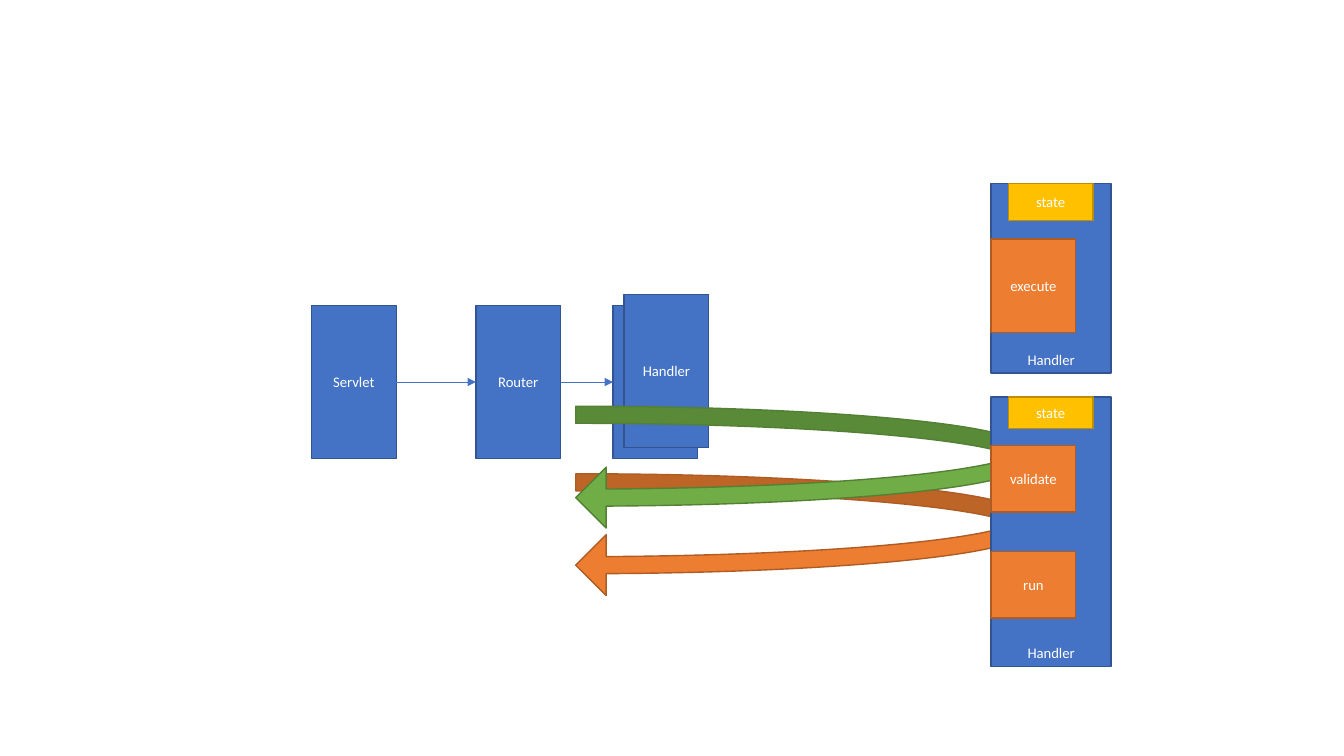
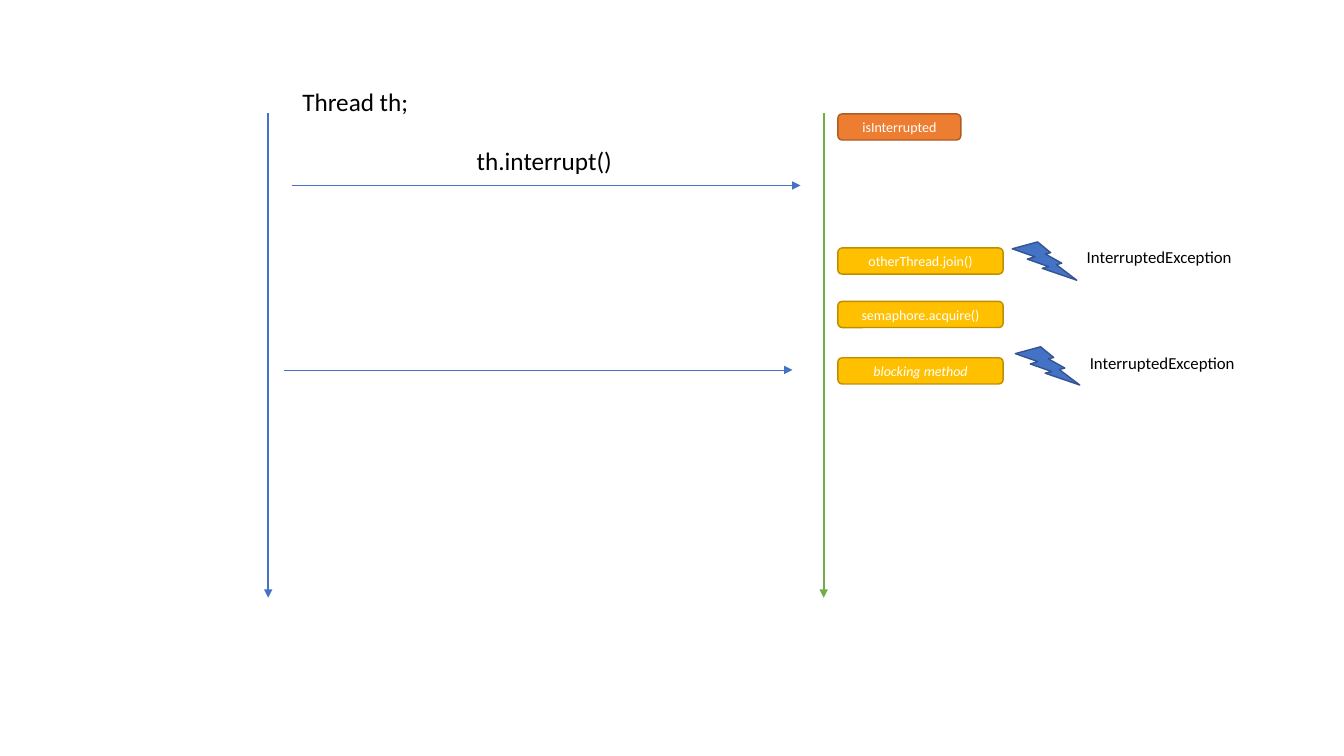
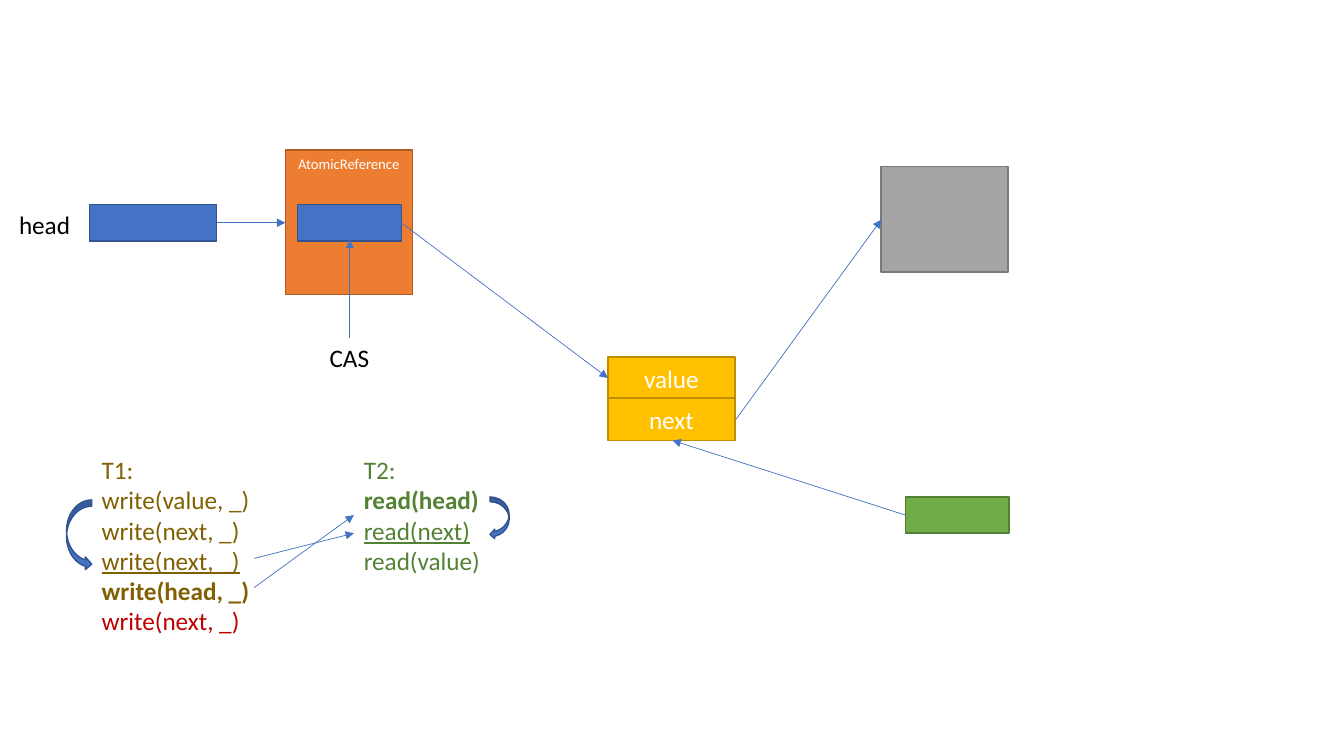
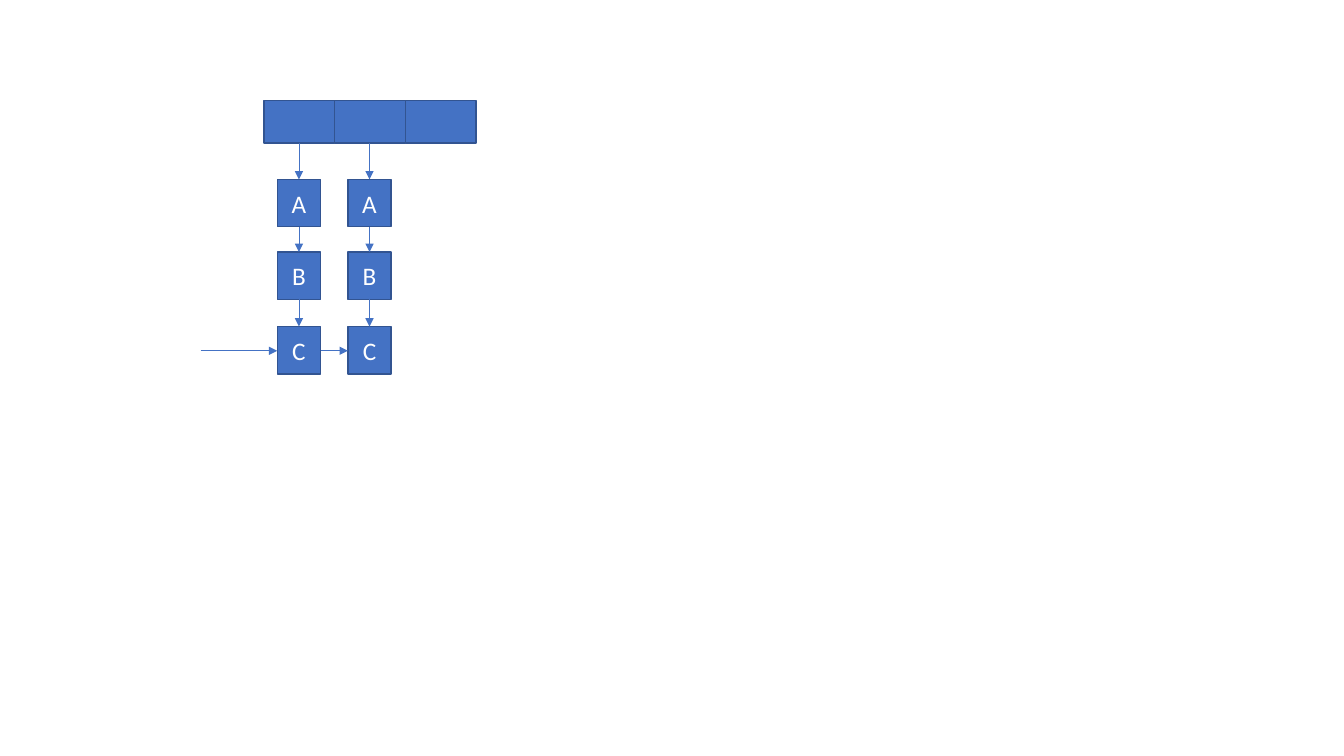
from lxml import etree
from pptx import Presentation
from pptx.dml.color import RGBColor
from pptx.enum.shapes import MSO_CONNECTOR, MSO_SHAPE as SHAPE
from pptx.enum.text import MSO_ANCHOR as ANCHOR, MSO_AUTO_SIZE, PP_ALIGN
from pptx.oxml.ns import qn
from pptx.util import Inches, Pt

FONT = "Calibri"
WHITE = RGBColor(0xFF, 0xFF, 0xFF)
BLACK = RGBColor(0x00, 0x00, 0x00)
RED = RGBColor(0xC0, 0x00, 0x00)
OLIVE = RGBColor(0x80, 0x60, 0x00)
DARK_GREEN = RGBColor(0x54, 0x82, 0x35)

# Fill and outline of each kind of box
BLUE = (RGBColor(0x44, 0x72, 0xC4), RGBColor(0x32, 0x54, 0x91))
ORANGE = (RGBColor(0xED, 0x7D, 0x31), RGBColor(0xAF, 0x5C, 0x24))
GOLD = (RGBColor(0xFF, 0xC0, 0x00), RGBColor(0xBD, 0x8E, 0x00))
GREEN = (RGBColor(0x70, 0xAD, 0x47), RGBColor(0x53, 0x80, 0x35))
GRAY = (RGBColor(0xA5, 0xA5, 0xA5), RGBColor(0x7A, 0x7A, 0x7A))


def add_box(slide, left, top, width, height, colors, text="", size=10.5,
            kind=SHAPE.RECTANGLE, anchor=ANCHOR.MIDDLE):
    shape = slide.shapes.add_shape(
        kind, Inches(left), Inches(top), Inches(width), Inches(height))
    shape.shadow.inherit = False
    shape.fill.solid()
    shape.fill.fore_color.rgb, shape.line.color.rgb = colors
    shape.line.width = Pt(1)
    if text:
        shape.text_frame.text = text
        shape.text_frame.vertical_anchor = anchor
        paragraph = shape.text_frame.paragraphs[0]
        paragraph.alignment = PP_ALIGN.CENTER
        font = paragraph.runs[0].font
        font.name, font.size, font.color.rgb = FONT, Pt(size), WHITE
    return shape


def add_arrow(slide, x1, y1, x2, y2, color=BLUE[0], width=0.5):
    arrow = slide.shapes.add_connector(
        MSO_CONNECTOR.STRAIGHT, Inches(x1), Inches(y1), Inches(x2), Inches(y2))
    arrow.line.color.rgb = color
    arrow.line.width = Pt(width)
    properties = arrow.element.spPr
    etree.SubElement(properties.find(qn("a:ln")), qn("a:tailEnd"), type="triangle")
    etree.SubElement(properties, qn("a:effectLst"))


presentation = Presentation()
presentation.slide_width = Inches(13.33)
presentation.slide_height = Inches(7.5)
blank = presentation.slide_layouts[6]
handlers, interrupts, references, buckets = [
    presentation.slides.add_slide(blank) for _ in range(4)]

# Slide 1: request handling
for left, top, name in [(3.09, 3.03, "Servlet"), (4.72, 3.03, "Router"),
                        (6.08, 3.03, "Handler"), (6.19, 2.92, "Handler")]:
    add_box(handlers, left, top, 0.84, 1.52, BLUE, name)
add_arrow(handlers, 3.93, 3.79, 4.72, 3.79)
add_arrow(handlers, 5.56, 3.79, 6.08, 3.79)
for top, colors in [(4.7, ORANGE), (4.03, GREEN)]:
    loop_arrow = add_box(handlers, 5.71, top, 4.45, 1.21, colors,
                         kind=SHAPE.CURVED_LEFT_ARROW)
    loop_arrow.adjustments[0] = 0.14
for top, height, state_height, steps in [
        (1.82, 1.88, 0.37, [("execute", 2.37, 0.93)]),
        (3.94, 2.67, 0.31, [("validate", 4.42, 0.66), ("run", 5.47, 0.66)])]:
    add_box(handlers, 9.83, top, 1.19, height, BLUE, "Handler", anchor=ANCHOR.BOTTOM)
    add_box(handlers, 10, top, 0.84, state_height, GOLD, "state")
    for name, step_top, step_height in steps:
        add_box(handlers, 9.83, step_top, 0.84, step_height, ORANGE, name)

# Slide 2: thread interruption
for x, colors in [(2.66, BLUE), (8.17, GREEN)]:
    add_arrow(interrupts, x, 1.12, x, 5.93, colors[0], 1.5)
for x, y in [(2.9, 1.84), (2.82, 3.67)]:
    add_arrow(interrupts, x, y, x + 5.04, y)
for top, width, colors, name in [
        (1.13, 1.22, ORANGE, "isInterrupted"),
        (2.46, 1.64, GOLD, "otherThread.join()"),
        (2.99, 1.64, GOLD, "semaphore.acquire()"),
        (3.55, 1.64, GOLD, "blocking method")]:
    call = add_box(interrupts, 8.31, top, width, 0.26, colors, name, 10,
                   SHAPE.ROUNDED_RECTANGLE)
    call.text_frame.paragraphs[0].runs[0].font.italic = name == "blocking method"
for left, top in [(10.04, 2.4), (10.07, 3.44)]:
    add_box(interrupts, left, top, 0.64, 0.38, BLUE, kind=SHAPE.LIGHTNING_BOLT)

# Slide 3: atomic reference to a linked list
add_box(references, 2.83, 1.49, 1.26, 1.43, ORANGE, "AtomicReference", anchor=ANCHOR.TOP)
for top, name in [(3.54, "value"), (3.95, "next")]:
    add_box(references, 6.03, top, 1.26, 0.42, GOLD, name, 18)
for left, top, width, height, colors in [
        (8.74, 1.65, 1.26, 1.05, GRAY), (0.89, 2.03, 1.26, 0.36, BLUE),
        (2.95, 2.03, 1.03, 0.36, BLUE), (8.98, 4.93, 1.03, 0.36, GREEN)]:
    add_box(references, left, top, width, height, colors)
for ends in [(3.98, 2.21, 6.03, 3.75), (2.15, 2.21, 2.83, 2.21),
             (3.47, 3.35, 3.47, 2.38), (7.3, 4.16, 8.74, 2.18),
             (8.98, 5.11, 6.67, 4.37), (2.52, 5.54, 3.51, 5.29),
             (2.52, 5.83, 3.51, 5.11)]:
    add_arrow(references, *ends)
add_box(references, 0.66, 4.96, 0.25, 0.7, BLUE, kind=SHAPE.CURVED_RIGHT_ARROW)
read_order = add_box(references, 4.86, 4.93, 0.19, 0.42, BLUE,
                     kind=SHAPE.CURVED_RIGHT_ARROW)
read_order.element.spPr.find(qn("a:xfrm")).set("flipH", "1")

# Slide 4: hash buckets with chained nodes
BUCKET_PITCH = 0.7
for column in range(3):
    add_box(buckets, 2.62 + column * BUCKET_PITCH, 1, 0.7, 0.42, BLUE)
for column in range(2):
    left = 2.75 + column * BUCKET_PITCH
    center = left + 0.215
    previous_bottom = 1.42
    for name, top in [("A", 1.78), ("B", 2.5), ("C", 3.24)]:
        add_box(buckets, left, top, 0.43, 0.47, BLUE, name, 18)
        add_arrow(buckets, center, previous_bottom, center, top)
        previous_bottom = top + 0.47
add_arrow(buckets, 1.99, 3.48, 2.75, 3.48)
add_arrow(buckets, 3.18, 3.48, 3.45, 3.48)

# Free text: each line is its text, colour and emphasis
LABELS = [
    (interrupts, 4.63, 1.39, 1.56, 0.4, 18, [("th.interrupt()", BLACK, "")]),
    (interrupts, 2.9, 0.81, 1.27, 0.4, 18, [("Thread th;", BLACK, "")]),
    (interrupts, 10.68, 2.4, 1.65, 0.3, 12, [("InterruptedException", BLACK, "")]),
    (interrupts, 10.71, 3.45, 1.65, 0.3, 12, [("InterruptedException", BLACK, "")]),
    (references, 0.09, 2.03, 0.72, 0.4, 18, [("head", BLACK, "")]),
    (references, 3.17, 3.35, 0.6, 0.4, 18, [("CAS", BLACK, "")]),
    (references, 0.91, 4.46, 1.69, 1.92, 18, [
        ("T1:", OLIVE, ""),
        ("write(value, _)", OLIVE, ""),
        ("write(next, _)", OLIVE, ""),
        ("write(next, _)", OLIVE, "underline"),
        ("write(head, _)", OLIVE, "bold"),
        ("write(next, _)", RED, "")]),
    (references, 3.51, 4.46, 1.37, 1.31, 18, [
        ("T2:", DARK_GREEN, ""),
        ("read(head)", DARK_GREEN, "bold"),
        ("read(next)", DARK_GREEN, "underline"),
        ("read(value)", DARK_GREEN, "")]),
]
for slide, left, top, width, height, size, lines in LABELS:
    label = slide.shapes.add_textbox(
        Inches(left), Inches(top), Inches(width), Inches(height))
    text_frame = label.text_frame
    text_frame.word_wrap = False
    text_frame.auto_size = MSO_AUTO_SIZE.SHAPE_TO_FIT_TEXT
    text_frame.text = "\n".join(text for text, _, _ in lines)
    for paragraph, (_, color, emphasis) in zip(text_frame.paragraphs, lines):
        font = paragraph.runs[0].font
        font.name, font.size, font.color.rgb = FONT, Pt(size), color
        font.bold = emphasis == "bold"
        font.underline = emphasis == "underline"

presentation.save("out.pptx")
